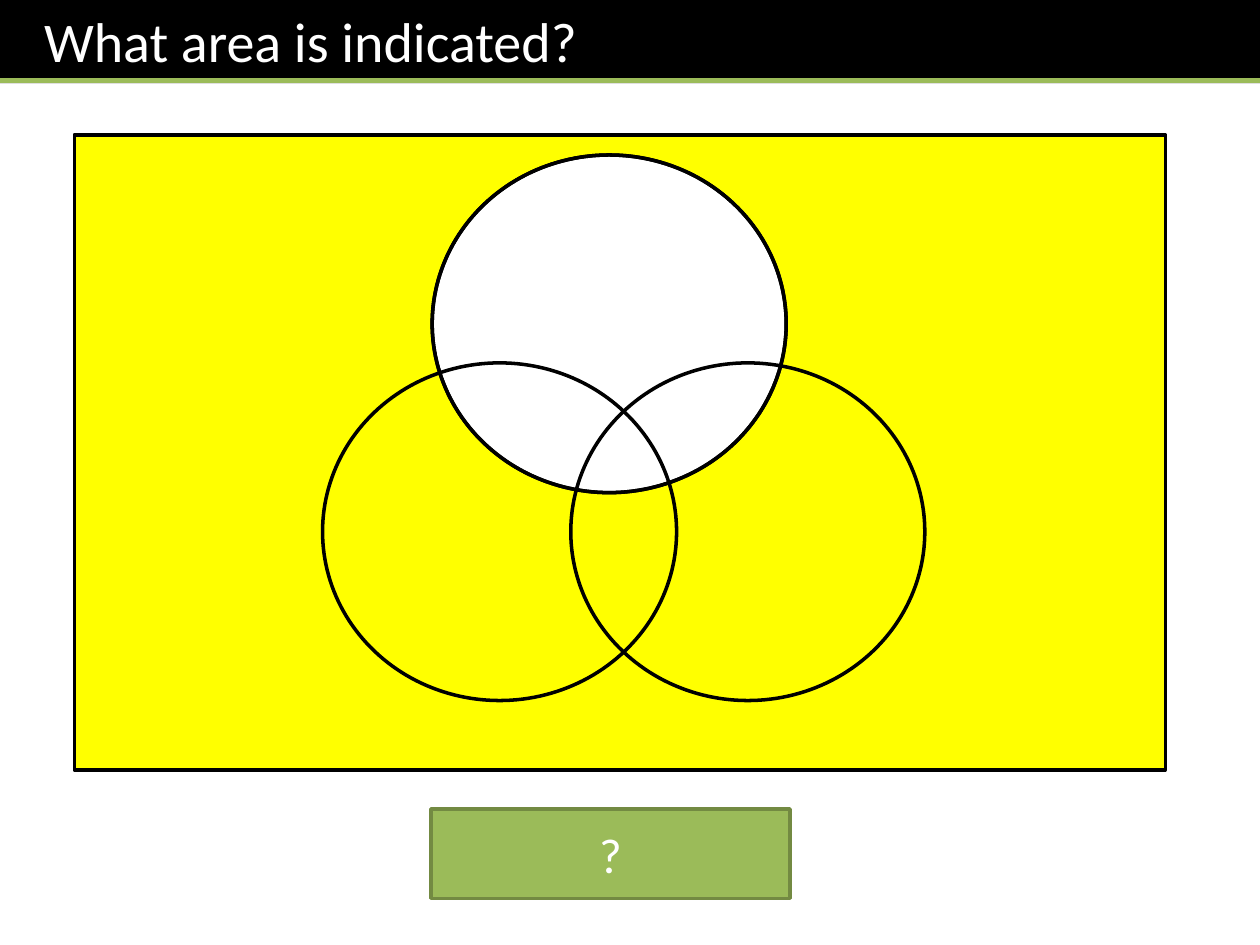
from pptx import Presentation
from pptx.dml.color import RGBColor
from pptx.enum import shapes, text
from pptx.oxml.ns import qn
from pptx.util import Inches, Pt
from lxml import etree

SHAPE = shapes.MSO_SHAPE
BLACK, WHITE, YELLOW = "000000", "FFFFFF", "FFFF00"
GREEN, DARK_GREEN = "9BBB59", "738A42"
UNIVERSE = (0.59, 1.07, 8.66, 5.04)
SET_WIDTH, SET_HEIGHT = 2.81, 2.68
TOP_SET, RIGHT_SET, LEFT_SET = (3.43, 1.23), (4.53, 2.88), (2.56, 2.88)


def color(hex_value):
    return RGBColor.from_string(hex_value)


def add_figure(parent, kind, box, fill=None, line=None):
    figure = parent.add_shape(kind, *(Inches(length) for length in box))
    figure.shadow.inherit = False
    if fill:
        figure.fill.solid()
        figure.fill.fore_color.rgb = color(fill)
    else:
        figure.fill.background()
    if line:
        figure.line.color.rgb = color(line)
        figure.line.width = Pt(2)
    else:
        figure.line.fill.background()
    return figure


def add_set(parent, corner, fill=None):
    box = (*corner, SET_WIDTH, SET_HEIGHT)
    return add_figure(parent, SHAPE.OVAL, box, fill, BLACK)


def write(figure, words, size, align, anchor):
    frame = figure.text_frame
    frame.text = words
    frame.word_wrap = True
    frame.vertical_anchor = anchor
    paragraph = frame.paragraphs[0]
    paragraph.alignment = align
    font = paragraph.runs[0].font
    font.name, font.size = "Calibri", Pt(size)
    font.color.rgb = color(WHITE)


def add_rule(parent, y, width, line):
    rule = parent.add_connector(shapes.MSO_CONNECTOR.STRAIGHT,
                                Inches(0), Inches(y), Inches(10), Inches(y))
    rule.line.color.rgb = color(line)
    rule.line.width = Pt(width)
    etree.SubElement(rule._element.spPr, qn("a:effectLst"))


def add_header(slide, title):
    header = slide.shapes.add_group_shape().shapes
    banner = add_figure(header, SHAPE.RECTANGLE, (0, 0, 10, 0.66), BLACK)
    write(banner, title, 32, text.PP_ALIGN.LEFT, text.MSO_ANCHOR.TOP)
    banner.text_frame.margin_left = Inches(0.35)
    add_rule(header, 0.64, 3, GREEN)


def main():
    deck = Presentation()
    deck.slide_width, deck.slide_height = Inches(10), Inches(7.5)
    slide = deck.slides.add_slide(deck.slide_layouts[6])
    canvas = slide.shapes

    # Diagram fills
    add_figure(canvas, SHAPE.RECTANGLE, UNIVERSE, YELLOW)
    add_set(canvas, TOP_SET, WHITE)

    # Diagram outlines
    for corner in (TOP_SET, RIGHT_SET, LEFT_SET):
        add_set(canvas, corner)
    add_figure(canvas, SHAPE.RECTANGLE, UNIVERSE, line=BLACK)

    # Question mark box
    question = add_figure(canvas, SHAPE.RECTANGLE, (3.42, 6.42, 2.85, 0.71),
                          GREEN, DARK_GREEN)
    write(question, "?", 28, text.PP_ALIGN.CENTER, text.MSO_ANCHOR.MIDDLE)

    # Title banner
    add_header(slide, "What area is indicated?")

    deck.save("out.pptx")


if __name__ == "__main__":
    main()
